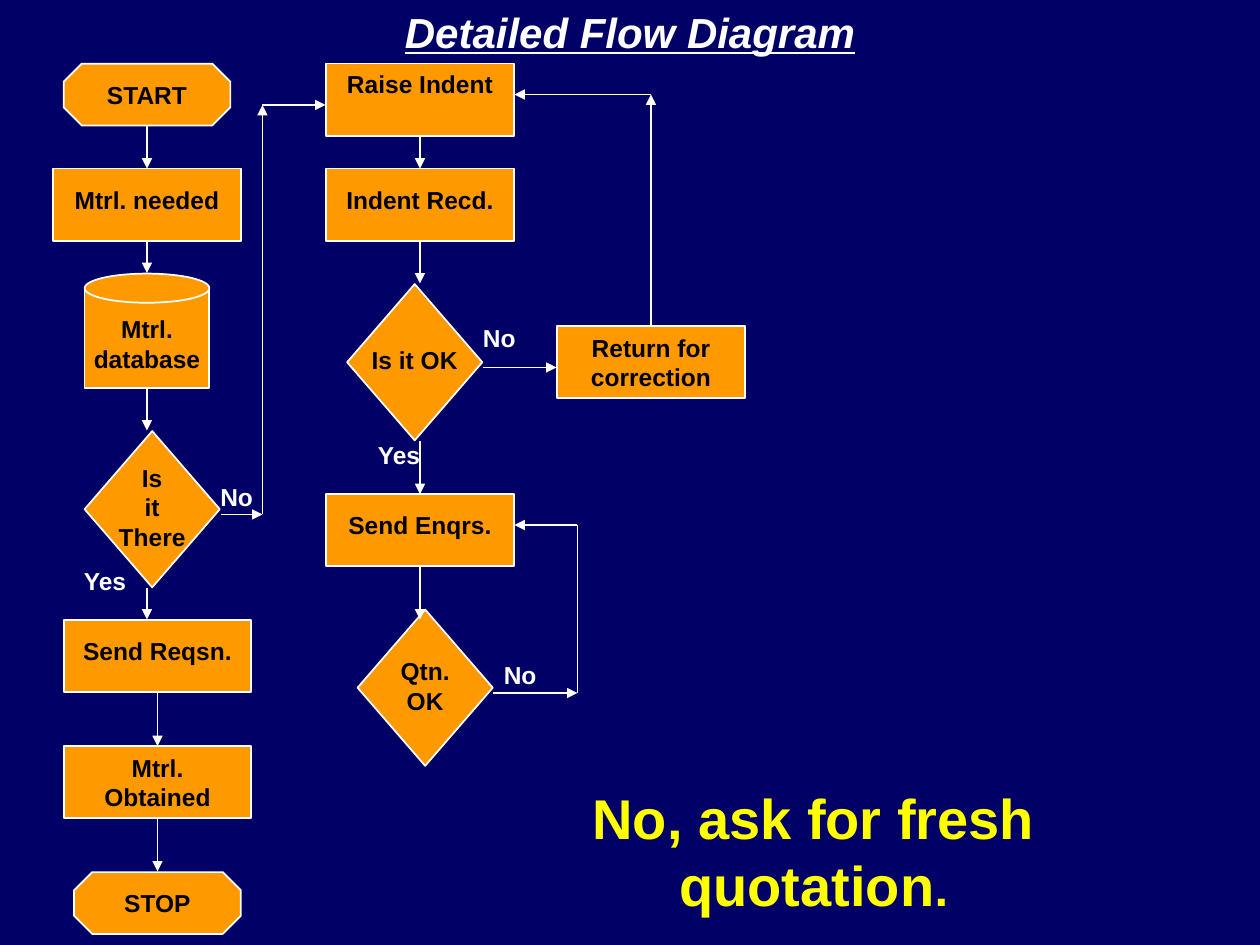
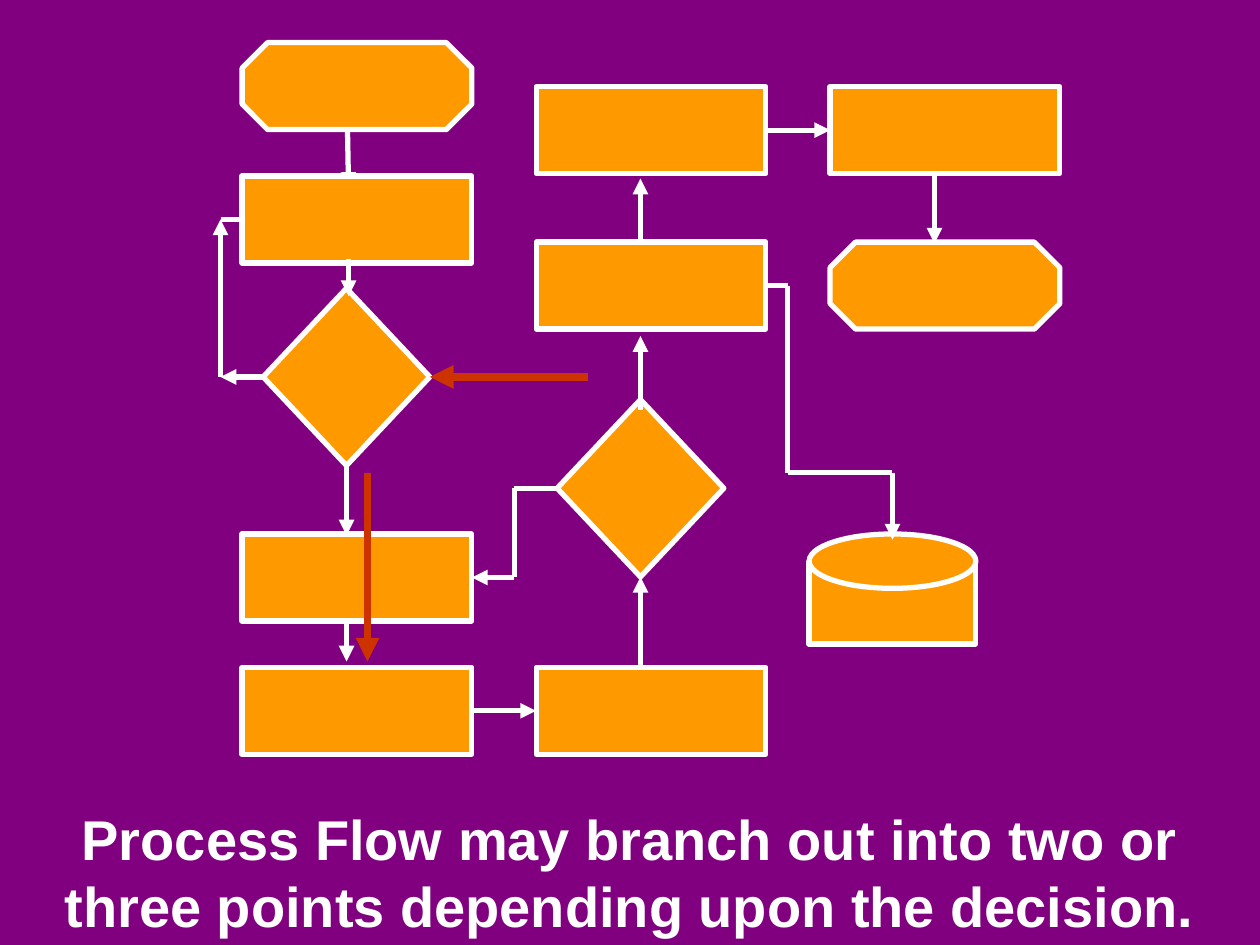
from itertools import pairwise

from lxml.etree import SubElement
from pptx import Presentation
from pptx.dml.color import RGBColor
from pptx.enum.shapes import MSO_CONNECTOR, MSO_SHAPE as SHAPE
from pptx.enum.text import MSO_ANCHOR as ANCHOR, PP_ALIGN as ALIGN
from pptx.oxml.ns import qn
from pptx.util import Inches, Pt

COLORS = {"navy": "000066", "purple": "800080", "orange": "FF9900", "white": "FFFFFF",
          "black": "000000", "yellow": "FFFF00", "red": "CC3300"}
FONT = "Arial"
COLS, ROWS = 120, 90
GAP = 0.06  # free edge on each side of a shape inside its grid cell


def rgb(name):
    return RGBColor.from_string(COLORS[name])


class FlowDeck:
    """Draws flow charts on a grid of COLS by ROWS."""

    def __init__(self):
        self.prs = Presentation()
        self.prs.slide_width, self.prs.slide_height = Inches(10), Inches(7.5)

    def new_slide(self, background, weight):
        self.s = self.prs.slides.add_slide(self.prs.slide_layouts[6])
        self.s.background.fill.solid()
        self.s.background.fill.fore_color.rgb = rgb(background)
        self.weight = weight
        self.joinable = []

    def x(self, cols):
        return round(self.prs.slide_width * cols / COLS)

    def y(self, rows):
        return round(self.prs.slide_height * rows / ROWS)

    def style_text(self, tf, size, color, align):
        for p in tf.paragraphs:
            p.alignment = align
            for r in p.runs:
                r.font.name, r.font.size, r.font.bold = FONT, Pt(size), True
                r.font.color.rgb = rgb(color)

    def shape(self, kind, col, row, cols, rows, text="", lift=0.0, side=0.0, wrap=True):
        """Add a filled shape; lift is the extra margin that pushes its text up (or down)."""
        sp = self.s.shapes.add_shape(kind, self.x(col + GAP), self.y(row + GAP),
                                     self.x(cols - 2 * GAP), self.y(rows - 2 * GAP))
        sp.shadow.inherit = False
        sp.fill.solid()
        sp.fill.fore_color.rgb = rgb("orange")
        sp.line.color.rgb = rgb("white")
        sp.line.width = Pt(self.weight)
        if text:
            tf = sp.text_frame
            tf.text = text
            tf.word_wrap = wrap
            tf.vertical_anchor = ANCHOR.MIDDLE
            tf.margin_left = tf.margin_right = self.x(side)
            tf.margin_top, tf.margin_bottom = self.y(max(-lift, 0)), self.y(max(lift, 0))
            self.style_text(tf, 14, "black", ALIGN.CENTER)
        return sp

    def process(self, col, row, cols=18, rows=7, text="", lift=1.0):
        self.joinable.append(self.shape(SHAPE.RECTANGLE, col, row, cols, rows, text, lift, 1.2))

    def terminal(self, col, row, cols=16, rows=6, text=""):
        self.shape(SHAPE.OCTAGON, col, row, cols, rows, text).adjustments[0] = 0.293

    def decision(self, col, row, cols=13, rows=15, text="", wrap=False):
        self.joinable.append(
            self.shape(SHAPE.DIAMOND, col, row, cols, rows, text, lift=0.4, wrap=wrap))

    def database(self, col, row, cols, rows, lid, text=""):
        """A cylinder: a body with an elliptical lid, lid rows high."""
        self.joinable.append(self.shape(SHAPE.RECTANGLE, col, row + lid / 2, cols,
                                        rows - lid / 2, text, lift=-1.0))
        self.shape(SHAPE.OVAL, col, row, cols, lid)

    def site_at(self, px, py):
        """Find the (shape, side) whose middle lies at a point, if there is one."""
        for sp in self.joinable:
            mid_x, mid_y = sp.left + sp.width // 2, sp.top + sp.height // 2
            sites = [(mid_x, sp.top), (sp.left, mid_y),
                     (mid_x, sp.top + sp.height), (sp.left + sp.width, mid_y)]
            for side, (sx, sy) in enumerate(sites):
                if abs(sx - px) < self.x(0.3) and abs(sy - py) < self.y(0.3):
                    return sp, side
        return None

    def route(self, *points, bare=(), color="white", weight=None):
        """Join points by lines with arrowheads, except on the segments listed in bare."""
        spots = [(self.x(col), self.y(row)) for col, row in points]
        for i, (start, end) in enumerate(pairwise(spots)):
            line = self.s.shapes.add_connector(MSO_CONNECTOR.STRAIGHT, *start, *end)
            if site := self.site_at(*start):
                line.begin_connect(*site)
            if site := self.site_at(*end):
                line.end_connect(*site)
            line.line.color.rgb = rgb(color)
            line.line.width = Pt(weight or self.weight)
            props = line._element.spPr
            if i not in bare:
                SubElement(props.find(qn("a:ln")), qn("a:tailEnd"), type="triangle")
            SubElement(props, qn("a:effectLst"))

    def text(self, text, col, row, cols, rows, size, color="white", align=ALIGN.CENTER):
        box = self.s.shapes.add_textbox(self.x(col), self.y(row), self.x(cols), self.y(rows))
        tf = box.text_frame
        tf.text = text
        tf.word_wrap = True
        self.style_text(tf, size, color, align)
        return tf.paragraphs[0]

    def branch(self, text, col, row):
        self.text(text, col, row, 8, 4, 14, align=ALIGN.LEFT)


def detailed_flow(deck):
    deck.new_slide("navy", 1)
    title = deck.text("Detailed Flow Diagram", 1, 0, 118, 6, 24)
    title.runs[0].font.italic = title.runs[0].font.underline = True

    deck.terminal(6, 6, text="START")
    deck.process(5, 16, text="Mtrl. needed")
    deck.database(8, 26, 12, 11, 2.9, text="Mtrl. database")
    deck.decision(8, 41, text="Is\nit\nThere")
    deck.process(6, 59, text="Send Reqsn.")
    deck.process(6, 71, text="Mtrl. Obtained", lift=0)
    deck.terminal(7, 83, text="STOP")
    deck.process(31, 6, text="Raise Indent", lift=3.1)
    deck.process(31, 16, text="Indent Recd.")
    deck.decision(33, 27, text="Is it OK")
    deck.process(31, 47, text="Send Enqrs.")
    deck.decision(34, 58, text="Qtn. OK", wrap=True)
    deck.process(53, 31, text="Return for correction", lift=0)

    downward = {14: [(12, 16), (23, 26), (37, 41), (56, 59)],
                15: [(66, 71), (78, 83)],
                40: [(13, 16), (23, 27), (42, 47), (54, 59)]}
    for col, spans in downward.items():
        for top, bottom in spans:
            deck.route((col, top), (col, bottom))
    deck.route((21, 49), (25, 49), (25, 10), (31, 10))
    deck.route((46, 35), (53, 35))
    deck.route((62, 31), (62, 9), (49, 9))
    deck.route((47, 66), (55, 66), (55, 50), (49, 50), bare=(1,))

    for answer, col, row in [("Yes", 6.8, 53.3), ("No", 19.8, 45.3), ("No", 44.8, 30.2),
                             ("Yes", 34.8, 41.3), ("No", 46.8, 62.3)]:
        deck.branch(answer, col, row)
    note = deck.text("No, ask for fresh quotation", 49, 74, 57, 14, 32, "yellow")
    stop = note.add_run()
    stop.text = "."
    stop.font.name, stop.font.size, stop.font.bold = FONT, Pt(28), True
    stop.font.color.rgb = rgb("yellow")


def branching_flow(deck):
    deck.new_slide("purple", 3)
    deck.text("Process Flow may branch out into two or three points depending upon the decision.",
              0, 76, 120, 14, 32)
    left, middle, right = (23 + 28 * i for i in range(3))
    size = (22, 8.4)
    deck.route((33, 7.3), (33.2, 17.9))  # its tip goes under the first process
    deck.terminal(left, 4, *size)
    deck.terminal(right, 23, *size)
    for col, row in [(left, 16.7), (left, 50.8), (left, 63.5), (middle, 63.5),
                     (middle, 23), (middle, 8.2), (right, 8.2)]:
        deck.process(col, row, *size)
    deck.decision(25, 27.4, 16, 17)
    deck.decision(53, 38, 16, 17)
    deck.database(77, 50.8, 16, 10.6, 5.3)

    deck.route((25, 35.9), (21, 35.9), (21, 20.9), (23, 20.9), bare=(2,))
    deck.route((53, 46.5), (49, 46.5), (49, 55), (45, 55), bare=(0, 1))
    deck.route((73, 27.2), (75, 27.2), (75, 45), (85, 45), (85, 51.4), bare=(0, 1, 2))
    for start, end in [((33.2, 24.7), (33.2, 28.2)), ((33.2, 44.5), (33, 51)),
                       ((33, 59), (33, 63)), ((45, 67.7), (51, 67.7)),
                       ((61, 63.5), (61, 55)), ((61, 39), (61, 32)), ((61, 23), (61, 17)),
                       ((73, 12.4), (79, 12.4)), ((89, 16.8), (89, 23.2))]:
        deck.route(start, end)
    deck.route((35, 45), (35, 63), color="red", weight=4.5)
    deck.route((56, 35.9), (41, 35.9), color="red", weight=4.5)


def main():
    deck = FlowDeck()
    detailed_flow(deck)
    branching_flow(deck)
    deck.prs.save("out.pptx")


if __name__ == "__main__":
    main()
